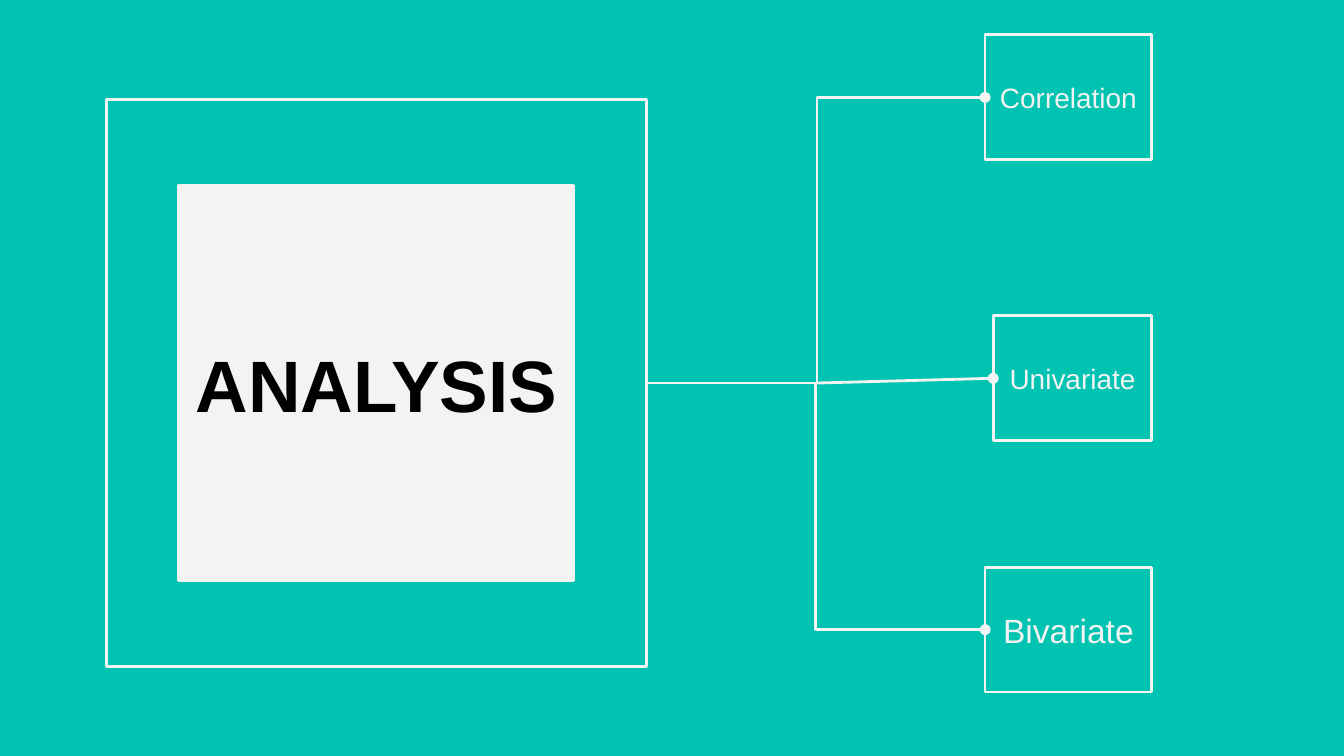
"""Builds a slide that branches one analysis block into three kinds of analysis."""
from dataclasses import dataclass
from typing import Optional

from pptx import Presentation
from pptx.dml.color import RGBColor
from pptx.enum.shapes import MSO_CONNECTOR as Link, MSO_SHAPE as Preset
from pptx.enum.text import MSO_ANCHOR as Anchor, PP_ALIGN as Align
from pptx.oxml.ns import qn
from pptx.shapes.autoshape import Shape
from pptx.shapes.connector import Connector
from pptx.slide import Slide
from pptx.util import Inches, Pt
from lxml.etree import SubElement

LEFT_SIDE, RIGHT_SIDE = 1, 3


@dataclass(frozen=True)
class Theme:
    """Colours, font and sizes used on the slide."""
    backdrop: RGBColor = RGBColor(0x00, 0xC3, 0xB1)
    outline: RGBColor = RGBColor(0xF3, 0xF3, 0xF3)
    label: RGBColor = RGBColor(0xF2, 0xF2, 0xF2)
    heading: RGBColor = RGBColor(0x00, 0x00, 0x00)
    font: str = "Arial"
    heading_size: float = 39
    label_size: float = 15
    large_label_size: float = 18
    line_width: float = 1.5
    inset: float = 0.1


THEME = Theme()


@dataclass(frozen=True)
class Box:
    """An outlined rectangle with optional fill and text, in inches."""
    left: float
    top: float
    width: float
    height: float
    text: str = ""
    size: float = THEME.label_size
    color: RGBColor = THEME.label
    bold: bool = False
    fill: Optional[RGBColor] = None


BRANCH_HEIGHT = 0.93
FRAME = Box(0.79, 0.74, 4.02, 4.22)
HEADING = Box(1.33, 1.38, 2.94, 2.94, "ANALYSIS", THEME.heading_size,
              THEME.heading, True, THEME.outline)
BIVARIATE = Box(7.33, 4.22, 1.24, BRANCH_HEIGHT, "Bivariate", THEME.large_label_size)
UNIVARIATE = Box(7.39, 2.35, 1.18, BRANCH_HEIGHT, "Univariate")
CORRELATION = Box(7.33, 0.26, 1.24, BRANCH_HEIGHT, "Correlation")
FORK = (6.08, 2.85)


def draw_box(slide: Slide, box: Box) -> Shape:
    """Draws a box with its centred text."""
    shape = slide.shapes.add_shape(
        Preset.RECTANGLE, Inches(box.left), Inches(box.top),
        Inches(box.width), Inches(box.height))
    shape.shadow.inherit = False
    shape.line.color.rgb = THEME.outline
    shape.line.width = Pt(THEME.line_width)
    if box.fill is None:
        shape.fill.background()
    else:
        shape.fill.solid()
        shape.fill.fore_color.rgb = box.fill
    if box.text:
        write_text(shape, box)
    return shape


def write_text(shape: Shape, box: Box) -> None:
    """Writes the text of a box in its format."""
    frame = shape.text_frame
    inset = Inches(THEME.inset)
    frame_format = {"word_wrap": True, "vertical_anchor": Anchor.MIDDLE,
                    "margin_left": inset, "margin_right": inset,
                    "margin_top": inset, "margin_bottom": inset}
    for name, value in frame_format.items():
        setattr(frame, name, value)
    paragraph = frame.paragraphs[0]
    paragraph.alignment = Align.CENTER
    run = paragraph.add_run()
    run.text = box.text
    font_format = {"name": THEME.font, "size": Pt(box.size), "bold": box.bold}
    for name, value in font_format.items():
        setattr(run.font, name, value)
    run.font.color.rgb = box.color


def draw_link(slide: Slide, kind: Link, start: tuple[float, float],
              end: tuple[float, float], dot: str) -> Connector:
    """Draws a connector with a dot at its headEnd or tailEnd."""
    link = slide.shapes.add_connector(kind, *map(Inches, start + end))
    link.line.color.rgb = THEME.outline
    link.line.width = Pt(THEME.line_width)
    SubElement(link.get_or_add_ln(), qn(f"a:{dot}"), type="oval")
    SubElement(link.element.spPr, qn("a:effectLst"))
    return link


def left_middle(box: Box) -> tuple[float, float]:
    """Gives the middle of a box's left side."""
    return box.left, box.top + box.height / 2


def main() -> None:
    """Builds and saves the slide."""
    deck = Presentation()
    deck.slide_width = Inches(10)
    deck.slide_height = deck.slide_width * 9 // 16
    slide = deck.slides.add_slide(deck.slide_layouts[6])
    slide.background.fill.solid()
    slide.background.fill.fore_color.rgb = THEME.backdrop

    frame, _, bivariate, univariate, correlation = [
        draw_box(slide, box)
        for box in (FRAME, HEADING, BIVARIATE, UNIVARIATE, CORRELATION)]

    upper = draw_link(slide, Link.ELBOW, left_middle(CORRELATION), FORK, "headEnd")
    upper.element.spPr.find(qn("a:prstGeom")).set("prst", "bentConnector2")
    upper.begin_connect(correlation, LEFT_SIDE)

    frame_exit = (FRAME.left + FRAME.width, FRAME.top + FRAME.height / 2)
    lower = draw_link(slide, Link.ELBOW, frame_exit, left_middle(BIVARIATE), "tailEnd")
    lower.begin_connect(frame, RIGHT_SIDE)
    lower.end_connect(bivariate, LEFT_SIDE)

    middle = draw_link(slide, Link.STRAIGHT, FORK, left_middle(UNIVARIATE), "tailEnd")
    middle.end_connect(univariate, LEFT_SIDE)

    deck.save("out.pptx")


if __name__ == "__main__":
    main()
